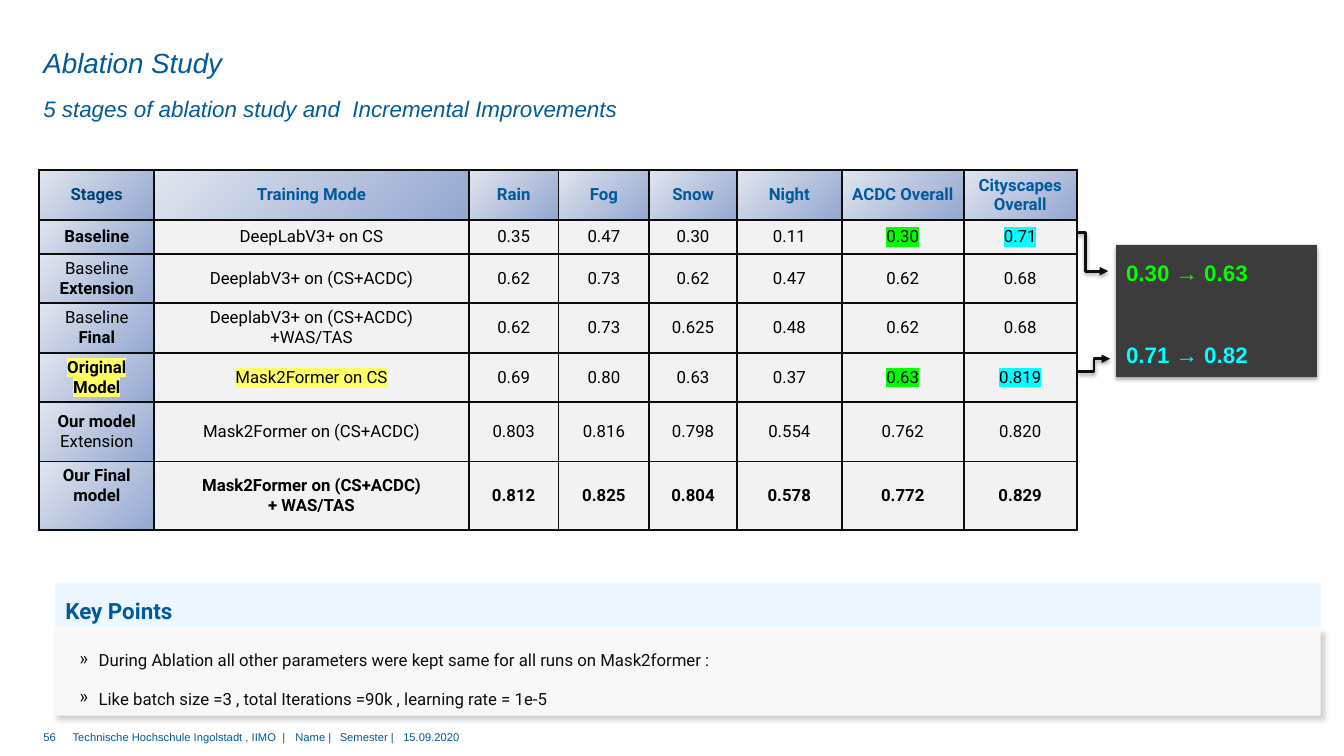
from itertools import cycle

from lxml.etree import SubElement
from pptx import Presentation
from pptx.dml.color import RGBColor
from pptx.enum.shapes import MSO_CONNECTOR, MSO_SHAPE
from pptx.enum.text import MSO_ANCHOR, PP_ALIGN
from pptx.oxml.ns import qn
from pptx.util import Pt

PX = 9144  # 100 px to the inch

HUE = {
    "blue": "005A9B", "navy": "004474", "ink": "0D0D0D", "black": "000000",
    "cell": "F2F2F2", "dark": "94A7D0", "light": "E0E5EF", "box": "3C3C3C",
    "body": "F8F8F8", "sky": "B8E1FF", "green": "00FF00", "cyan": "00FFFF",
    "yellow": "FFFF66",
}

COLS = [114, 312, 89, 90, 87, 104, 121, 112]
ROWS = [49, 34, 49, 49, 49, 59, 68]
HEADS = ["Stages", "Training Mode", "Rain", "Fog", "Snow", "Night",
         "ACDC Overall", "Cityscapes Overall"]
# stage, bold flag of each of its lines, training mode, scores
STAGES = [
    ("Baseline", [True], "DeepLabV3+ on CS",
     ["0.35", "0.47", "0.30", "0.11", "0.30", "0.71"]),
    ("Baseline\nExtension", [False, True], "DeeplabV3+ on (CS+ACDC)",
     ["0.62", "0.73", "0.62", "0.47", "0.62", "0.68"]),
    ("Baseline\nFinal", [False, True], "DeeplabV3+ on (CS+ACDC)\n+WAS/TAS",
     ["0.62", "0.73", "0.625", "0.48", "0.62", "0.68"]),
    ("Original Model", [True], "Mask2Former on CS",
     ["0.69", "0.80", "0.63", "0.37", "0.63", "0.819"]),
    ("Our model\nExtension", [True, False], "Mask2Former on (CS+ACDC)",
     ["0.803", "0.816", "0.798", "0.554", "0.762", "0.820"]),
    ("Our Final\nmodel", [True], "Mask2Former on (CS+ACDC)\n+ WAS/TAS",
     ["0.812", "0.825", "0.804", "0.578", "0.772", "0.829"]),
]
# (row, column) of the marked cells
MARKS = {(1, 6): "green", (1, 7): "cyan", (4, 0): "yellow",
         (4, 1): "yellow", (4, 6): "green", (4, 7): "cyan"}
POINTS = ("During Ablation all other parameters were kept same for all runs "
          "on Mask2former :\n"
          "Like batch size =3 , total Iterations =90k , learning rate = 1e-5")


def rgb(name):
    return RGBColor.from_string(HUE[name])


def add_hue(node, name):
    return SubElement(node, qn("a:srgbClr"), val=HUE[name])


def write(frame, text, size=12, font="Roboto", color="black", bold=(False,),
          italic=False, align=PP_ALIGN.LEFT, lines=None, after=None,
          bullet=None, tabs=(), mark=None):
    """Write one paragraph per line; bold holds a flag per line, repeated."""
    for i, (line, heavy) in enumerate(zip(text.split("\n"), cycle(bold))):
        para = frame.add_paragraph() if i else frame.paragraphs[0]
        props = para._p.get_or_add_pPr()
        if bullet:
            props.set("marL", str(34 * PX))
            props.set("indent", str(-19 * PX))
            SubElement(props, qn("a:buChar"), char=bullet)
        if tabs:
            stops = SubElement(props, qn("a:tabLst"))
            for pos in tabs:
                SubElement(stops, qn("a:tab"), pos=str(pos * PX), algn="l")
        para.alignment = align
        if lines:
            para.line_spacing = lines
        if after:
            para.space_after = Pt(after)
        run = para.add_run()
        run.text = line
        face = run.font
        face.size, face.name = Pt(size), font
        face.bold, face.italic = heavy, italic
        face.color.rgb = rgb(color)
        if mark:
            glow = SubElement(run._r.rPr, qn("a:highlight"))
            add_hue(glow, mark)
            run._r.rPr.find(qn("a:solidFill")).addnext(glow)


def inset(frame, side, top):
    frame.margin_left = frame.margin_right = side * PX
    frame.margin_top = frame.margin_bottom = top * PX


def add_text(slide, box, text, pad=(10, 5), **style):
    frame = slide.shapes.add_textbox(*[n * PX for n in box]).text_frame
    frame.word_wrap = True
    inset(frame, *pad)
    write(frame, text, **style)


def add_shade(shape, alpha, blur, dist, angle):
    props = shape._element.spPr
    for old in props.findall(qn("a:effectLst")):
        props.remove(old)
    shade = SubElement(SubElement(props, qn("a:effectLst")),
                       qn("a:outerShdw"), blurRad=str(Pt(blur)),
                       dist=str(Pt(dist)), dir=str(angle * 60000),
                       algn="t", rotWithShape="0")
    SubElement(add_hue(shade, "black"), qn("a:alpha"), val=str(alpha * 1000))


def add_box(slide, box, fill, alpha=None, shade=None):
    shape = slide.shapes.add_shape(MSO_SHAPE.RECTANGLE, *[n * PX for n in box])
    shape.shadow.inherit = False
    shape.fill.solid()
    shape.fill.fore_color.rgb = rgb(fill)
    shape.line.fill.background()
    if alpha:
        tint = shape._element.spPr.find(qn("a:solidFill"))[0]
        SubElement(tint, qn("a:alpha"), val=str(alpha * 1000))
    if shade:
        add_shade(shape, *shade)
    return shape


def add_bend(slide, *ends):
    bend = slide.shapes.add_connector(MSO_CONNECTOR.ELBOW,
                                      *[n * PX for n in ends])
    bend.line.width = Pt(2)
    bend.line.color.rgb = rgb("ink")
    SubElement(bend.line._ln, qn("a:tailEnd"), type="triangle")
    add_shade(bend, 38, 3.1, 1.6, 90)


def add_edges(cell):
    props = cell._tc.get_or_add_tcPr()
    for i, side in enumerate("LRTB"):
        edge = SubElement(props, qn("a:ln" + side), w=str(Pt(1.5)))
        add_hue(SubElement(edge, qn("a:solidFill")), "ink")
        props.insert(i, edge)


def fill_cell(cell, shaded):
    if shaded:
        cell.fill.gradient()
        cell.fill.gradient_angle = 135
        for stop, name in zip(cell.fill.gradient_stops, ["dark", "light"]):
            stop.color.rgb = rgb(name)
    else:
        cell.fill.solid()
        cell.fill.fore_color.rgb = rgb("cell")


def add_scores(slide):
    grid = slide.shapes.add_table(len(ROWS), len(COLS), 39 * PX, 169 * PX,
                                  sum(COLS) * PX, sum(ROWS) * PX).table
    grid.horz_banding = False
    for col, width in zip(grid.columns, COLS):
        col.width = width * PX
    for row, height in zip(grid.rows, ROWS):
        row.height = height * PX

    table = [[(head, [True]) for head in HEADS]]
    for stage, flags, mode, scores in STAGES:
        last = [stage == STAGES[-1][0]]
        table.append([(stage, flags)] + [(t, last) for t in [mode] + scores])

    for r, row in enumerate(table):
        for c, (text, bold) in enumerate(row):
            cell = grid.cell(r, c)
            cell.vertical_anchor = MSO_ANCHOR.MIDDLE
            inset(cell, 9, 4)
            fill_cell(cell, r == 0 or c == 0)
            add_edges(cell)
            color = "black" if r else "blue" if c else "navy"
            write(cell.text_frame, text, color=color, bold=bold,
                  align=PP_ALIGN.CENTER, mark=MARKS.get((r, c)))
    grid.cell(len(STAGES), 0).margin_bottom = 24 * PX


def add_title(slide, text):
    title = slide.shapes.title
    title.left, title.top = 43 * PX, 44 * PX
    title.width, title.height = 1067 * PX, 36 * PX
    frame = title.text_frame
    frame.vertical_anchor = MSO_ANCHOR.MIDDLE
    inset(frame, 0, 0)
    write(frame, text, size=19.8, font="Arial", color="blue", italic=True)


def add_points(slide):
    body = add_box(slide, (54, 623, 1256, 87), "body", shade=(18, 4, 3, 45))
    frame = body.text_frame
    frame.vertical_anchor = MSO_ANCHOR.TOP
    inset(frame, 10, 12)
    write(frame, POINTS, color="ink", lines=1.5, after=6, bullet="»")
    head = add_box(slide, (55, 578, 1255, 44), "sky", alpha=26)
    head.text_frame.vertical_anchor = MSO_ANCHOR.MIDDLE
    write(head.text_frame, "Key Points", size=16, color="blue", bold=[True],
          lines=1.4, after=6)


def main():
    deck = Presentation()
    deck.slide_width, deck.slide_height = 1333 * PX, 750 * PX
    slide = deck.slides.add_slide(deck.slide_layouts[5])
    add_title(slide, "Ablation Study")
    add_text(slide, (43, 81, 1067, 37),
             "5 stages of ablation study and  Incremental Improvements",
             pad=(0, 0), size=16, font="Arial", color="blue", italic=True,
             lines=1.5)
    small = {"pad": (0, 0), "size": 8, "font": "Arial", "color": "blue"}
    add_text(slide, (43, 725, 28, 23), "56", **small)
    add_text(slide, (72, 725, 896, 27),
             "Technische Hochschule Ingolstadt , IIMO\t|\tName |\tSemester |"
             "\t15.09.2020", tabs=(208, 221, 265, 328), **small)
    add_points(slide)
    add_bend(slide, 1054, 231, 1099, 269)
    add_scores(slide)
    add_box(slide, (1107, 243, 199, 131), "box", shade=(35, 3.1, 1.8, 90))
    for top, text, color in [(252, "0.30 → 0.63", "green"),
                             (334, "0.71 → 0.82", "cyan")]:
        add_text(slide, (1107, top, 142, 37), text, size=16, font="Arial",
                 color=color, bold=[True])
    add_bend(slide, 1069, 369, 1101, 356)
    deck.save("out.pptx")


if __name__ == "__main__":
    main()
